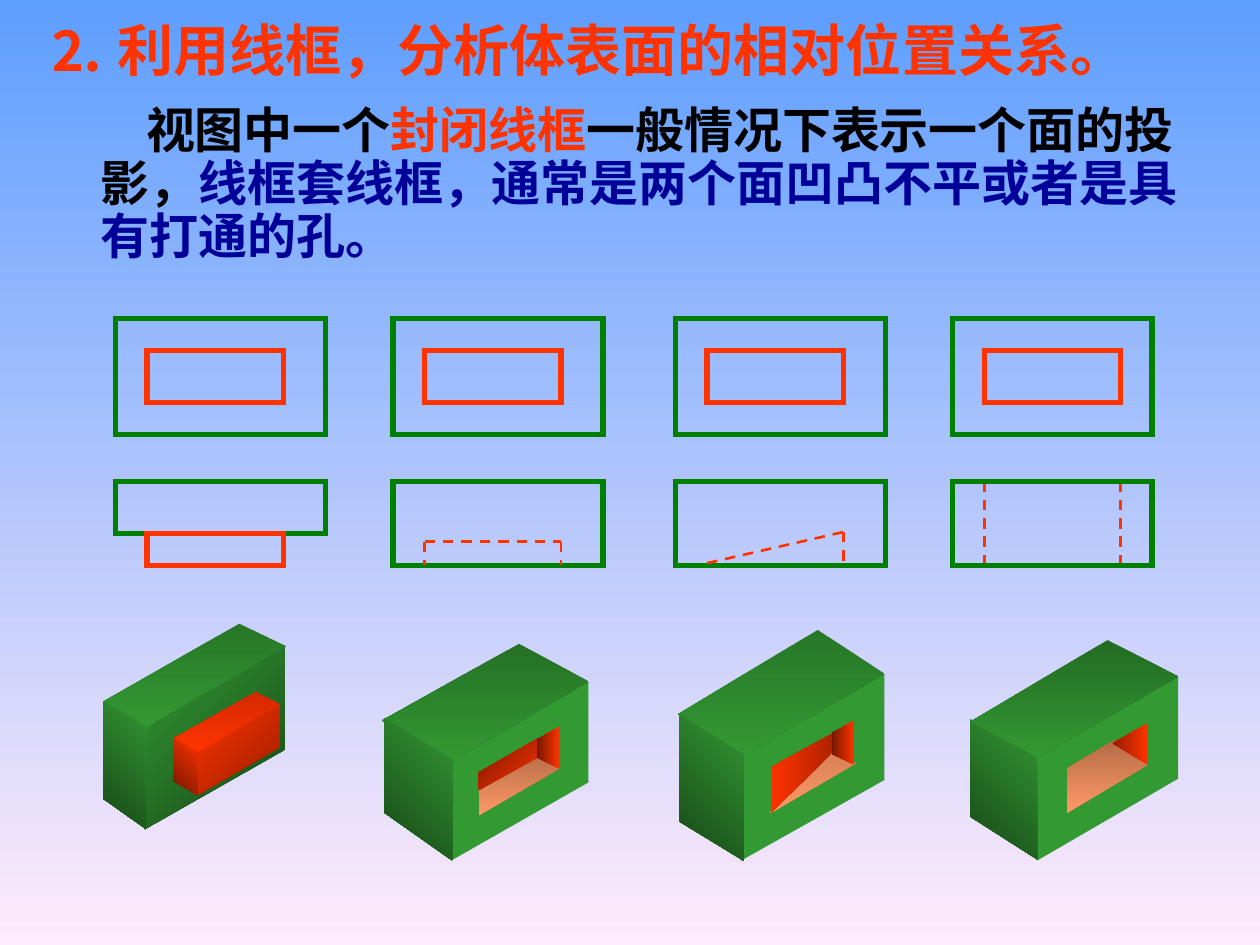
from lxml.etree import SubElement
from pptx import Presentation
from pptx.dml.color import RGBColor
from pptx.enum.dml import MSO_LINE
from pptx.enum.shapes import MSO_CONNECTOR, MSO_SHAPE
from pptx.enum.text import MSO_ANCHOR, MSO_AUTO_SIZE
from pptx.oxml.ns import qn
from pptx.util import Pt

FONT = "Noto Sans CJK SC"
COLORS = {
    "sky": "5E9EFF", "blush": "FFEBFA", "outline": "008000", "red": "FF3300",
    "black": "000000", "navy": "000099", "green": "339933", "green shade": "174617",
    "green top": "277727", "pocket top": "257125", "through top": "236B23",
    "boss shade": "9A1E00", "boss top": "D62A00", "red shade": "751700",
    "through shade": "951D00", "wedge shade": "AE2200", "sand": "FF9966",
    "pocket sand": "B86E49", "through sand": "B36B47", "wedge sand": "D68055",
}

TITLE = [("⒉ 利用线框，分析体表面的相对位置关系。", "red")]
BODY = [
    ("视图中一个", "black"), ("封闭线框", "red"),
    ("一般情况下表示一个面的投影，", "black"),
    ("线框套线框，通常是两个面凹凸不平或者是具有打通的孔。", "navy"),
]

# Two views of each solid; hidden edges run from (x, y) to (x, y), x from the view's left
FRAME_TOP, FRAME_HEIGHT = 182.2, 66
INNER_INSET, INNER_WIDTH, INNER_HEIGHT = 18, 78, 30
INNER_END = INNER_INSET + INNER_WIDTH
LOWER_TOP, LOWER_BOTTOM, BOSS_TOP = 275, 323, 305
VIEWS = [
    {"left": 66, "width": 120, "bottom": BOSS_TOP, "boss": True, "hidden": []},
    {"left": 224.6, "width": 120, "bottom": LOWER_BOTTOM, "hidden": [
        (INNER_INSET, 309.6, INNER_END, 309.6),
        (INNER_END, 309.6, INNER_END, LOWER_BOTTOM),
        (INNER_INSET, 309.6, INNER_INSET, LOWER_BOTTOM)]},
    {"left": 386, "width": 120, "bottom": LOWER_BOTTOM, "hidden": [
        (INNER_INSET, 321.8, INNER_END, 304),
        (INNER_END, 304, INNER_END, 322.6)]},
    {"left": 544.4, "width": 114, "bottom": LOWER_BOTTOM, "hidden_behind": True, "hidden": [
        (x, LOWER_TOP, x, LOWER_BOTTOM) for x in (INNER_INSET, INNER_END)]},
]

# Faces of the solids: start colour, end colour, clockwise angle, corners
FACES = [
    # Block with a boss
    ("green shade", "green", 225, [(82.8, 414.7), (82.8, 473.8), (162.7, 428.4), (162.7, 369.4)]),
    ("green top", "green", 90, [(59, 401), (136.8, 356.4), (163.4, 369.4), (83.5, 415.4)]),
    ("green", "green shade", 135, [(59, 401), (83.5, 414.7), (83.5, 473.8), (59, 456.5)]),
    ("boss shade", "red", 225, [(112.3, 429.8), (113, 454.3), (159.8, 427), (159.8, 402.5)]),
    ("boss top", "red", 90, [(99.4, 421.9), (113, 429.8), (159.8, 402.5), (146.2, 395.3)]),
    ("red", "red shade", 135, [(99.4, 422.6), (99.4, 446.4), (113, 454.3), (112.3, 429.8)]),
    # Block with a pocket
    ("green", None, 0, [(257.8, 434.2), (257.8, 491.8), (336.2, 447.1), (336.2, 389.5)]),
    ("pocket top", "green", 90, [(218.2, 411.8), (296.6, 367.9), (336.2, 389.5), (258.5, 434.9)]),
    ("green", "green shade", 135, [(219.6, 410.4), (258.5, 434.2), (258.5, 491.8), (219.6, 464.4)]),
    ("pocket sand", "sand", 90, [(273.6, 451.4), (308.2, 431.3), (319.7, 439.2), (273.6, 465.8)]),
    ("red", "red shade", 225, [(273.6, 441.4), (307.4, 421.9), (307.4, 432.7), (273.6, 451.4)]),
    ("red", "red shade", 180, [(306.7, 422.6), (319.7, 415.4), (319.7, 439.2), (306.7, 432.7)]),
    # Block with a sloping pocket
    ("green", None, 0, [(423.4, 431.3), (423.4, 491.8), (505.4, 445.7), (505.4, 385.2)]),
    ("green top", "green", 90, [(387.4, 408.2), (467.3, 360), (505.4, 385.2), (424.1, 432)]),
    ("green", "green shade", 135, [(388.1, 408.2), (424.8, 431.3), (424.8, 491.8), (388.1, 469.4)]),
    ("wedge sand", "sand", 90, [(439.9, 464.4), (476.6, 428.4), (488.9, 436.3), (440.6, 464.4)]),
    ("wedge shade", "red", 180, [(440.6, 438.5), (475.9, 419), (475.9, 429.8), (440.6, 464.4)]),
    ("red", "red shade", 180, [(475.2, 419), (488.2, 411.8), (488.2, 437), (475.2, 430.6)]),
    # Block with a through hole
    ("green", None, 0, [(592.6, 432.7), (673.2, 386.6), (673.2, 445), (592.6, 491.8)]),
    ("through sand", "sand", 90, [(609.8, 439.2), (609.8, 464.4), (655.9, 437), (637.2, 422.6)]),
    ("red", "through shade", 180, [(635.8, 424.8), (655.9, 413.3), (655.9, 437)]),
    ("green", "green shade", 135, [(554.4, 411.1), (592.6, 432.7), (592.6, 491), (554.4, 466.6)]),
    ("through top", "green", 90, [(554.4, 412.6), (593.3, 432.7), (673.2, 386.6), (632.9, 365.8)]),
]


def rgb(name):
    return RGBColor.from_string(COLORS[name])


def set_gradient(fill, start, end, clockwise):
    fill.gradient()
    fill.gradient_angle = 360 - clockwise
    for stop, name, position in zip(fill.gradient_stops, (start, end), (0, 1)):
        stop.color.rgb = rgb(name)
        stop.position = position


def add_text(runs, *, left, top, width, height, size, wrap=True, spacing=1.0, indent=0):
    box = slide.shapes.add_textbox(Pt(left), Pt(top), Pt(width), Pt(height))
    frame = box.text_frame
    frame.word_wrap = wrap
    frame.auto_size = MSO_AUTO_SIZE.SHAPE_TO_FIT_TEXT
    frame.vertical_anchor = MSO_ANCHOR.MIDDLE
    paragraph = frame.paragraphs[0]
    paragraph.line_spacing = spacing
    paragraph._p.get_or_add_pPr().set("indent", str(Pt(indent)))
    for words, color in runs:
        run = paragraph.add_run()
        run.text = words
        run.font.size = Pt(size)
        run.font.bold = True
        run.font.name = FONT
        run.font.color.rgb = rgb(color)
        SubElement(run.font._element, qn("a:ea"), typeface=FONT)


def add_frame(left, top, width, height, color):
    frame = slide.shapes.add_shape(MSO_SHAPE.RECTANGLE, Pt(left), Pt(top), Pt(width), Pt(height))
    frame.shadow.inherit = False
    frame.fill.background()
    frame.line.color.rgb = rgb(color)
    frame.line.width = Pt(3)
    SubElement(frame.line._get_or_add_ln(), qn("a:miter"), lim="800000")


def add_hidden_edges(view):
    for x1, y1, x2, y2 in view["hidden"]:
        edge = slide.shapes.add_connector(
            MSO_CONNECTOR.STRAIGHT, Pt(view["left"] + x1), Pt(y1), Pt(view["left"] + x2), Pt(y2))
        edge.line.color.rgb = rgb("red")
        edge.line.width = Pt(1.5)
        edge.line.dash_style = MSO_LINE.DASH
        SubElement(edge._element.spPr, qn("a:effectLst"))


def add_face(start, end, clockwise, corners):
    first, *rest = [(Pt(x), Pt(y)) for x, y in corners]
    builder = slide.shapes.build_freeform(*first)
    builder.add_line_segments(rest, close=True)
    face = builder.convert_to_shape()
    face.shadow.inherit = False
    face.line.fill.background()
    if end:
        set_gradient(face.fill, start, end, clockwise)
    else:
        face.fill.solid()
        face.fill.fore_color.rgb = rgb(start)


presentation = Presentation()
presentation.slide_width, presentation.slide_height = Pt(720), Pt(540)
slide = presentation.slides.add_slide(presentation.slide_layouts[6])
set_gradient(slide.background.fill, "sky", "blush", 90)

# Heading and explanation
add_text(TITLE, left=20.9, top=5, width=630, height=46, size=32, wrap=False)
add_text(BODY, left=50.4, top=56.9, width=633.6, height=98, size=28, spacing=0.9, indent=26)

# Upper and lower views
for view in VIEWS:
    left, width = view["left"], view["width"]
    inner_left = left + INNER_INSET
    add_frame(left, FRAME_TOP, width, FRAME_HEIGHT, "outline")
    add_frame(inner_left, FRAME_TOP + INNER_INSET, INNER_WIDTH, INNER_HEIGHT, "red")
    if view.get("hidden_behind"):
        add_hidden_edges(view)
    add_frame(left, LOWER_TOP, width, view["bottom"] - LOWER_TOP, "outline")
    if view.get("boss"):
        add_frame(inner_left, BOSS_TOP, INNER_WIDTH, LOWER_BOTTOM - BOSS_TOP, "red")
    if not view.get("hidden_behind"):
        add_hidden_edges(view)

# Solids
for face in FACES:
    add_face(*face)

presentation.save("out.pptx")
